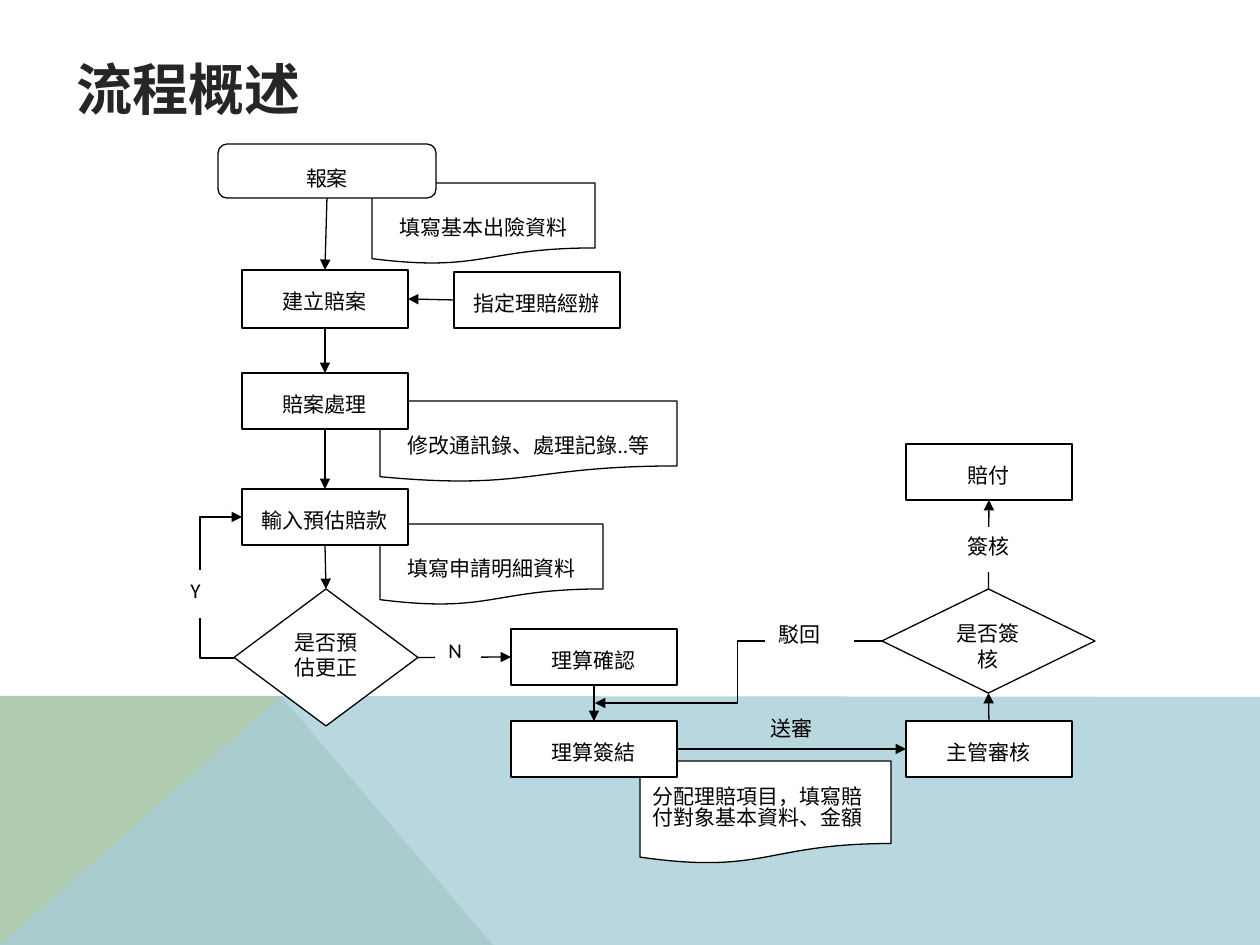
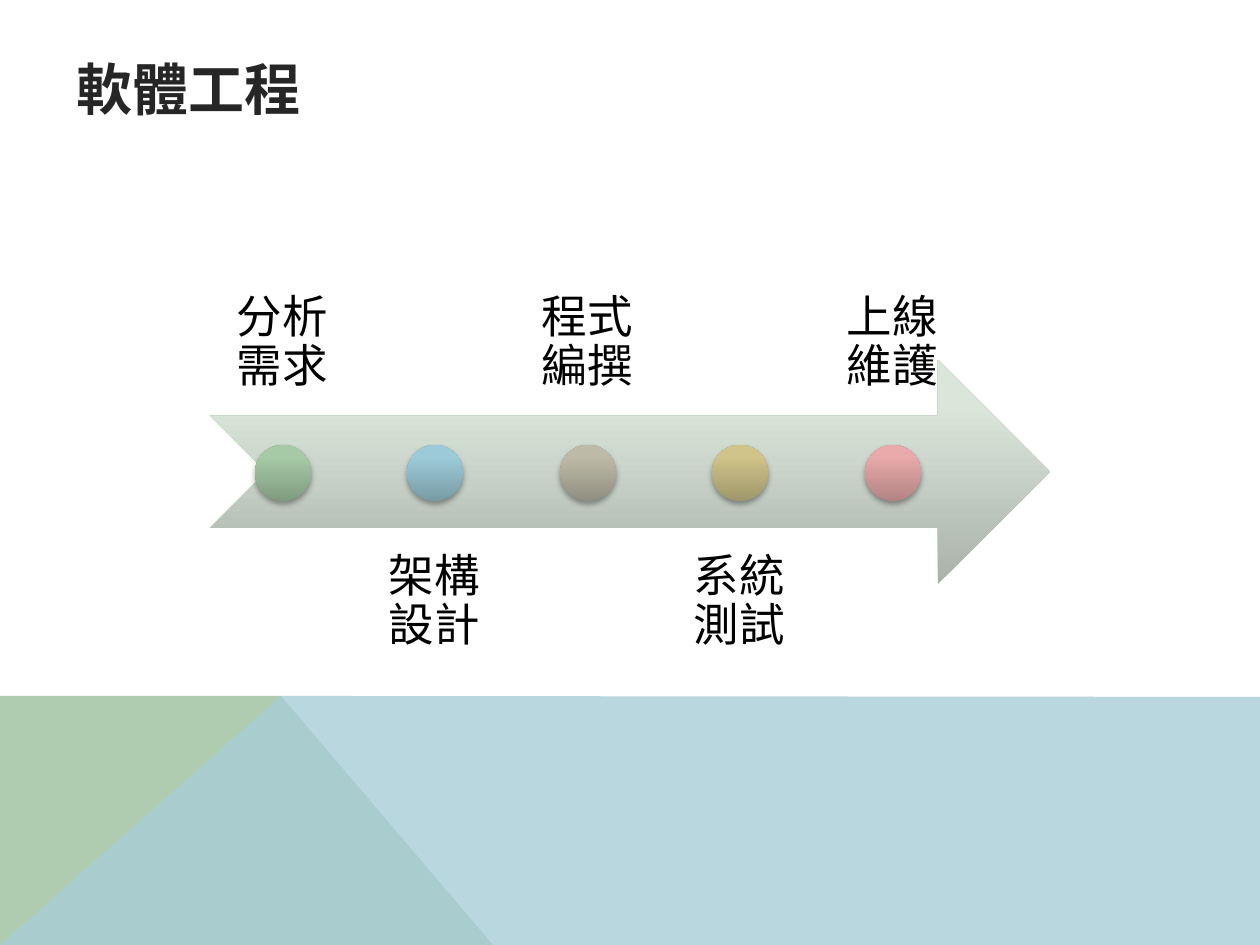
"""Builds a claims flowchart slide and a software engineering timeline slide."""
from copy import deepcopy
from typing import NamedTuple

from lxml import etree
from pptx import Presentation
from pptx import util as u
from pptx.dml.color import RGBColor
from pptx.enum import shapes, text
from pptx.oxml import ns

PX = 914400 / 126
WIDTH, HEIGHT = 1260, 945
BLACK = RGBColor(0, 0, 0)
WHITE = RGBColor(255, 255, 255)
TITLE_GREY = RGBColor(0x26, 0x26, 0x26)
BAND_GREEN = RGBColor(0xB0, 0xCC, 0xB0)
BAND_BLUE = RGBColor(0xA8, 0xCD, 0xD7)
BODY_FONT, HEAD_FONT = "Calibri", "Arial"

KIND = shapes.MSO_SHAPE
DOCUMENT, PROCESS = KIND.FLOWCHART_DOCUMENT, KIND.FLOWCHART_PROCESS
START, DECISION = KIND.FLOWCHART_ALTERNATE_PROCESS, KIND.FLOWCHART_DECISION
LEFT, CENTER = text.PP_ALIGN.LEFT, text.PP_ALIGN.CENTER
TOP_SIDE, LEFT_SIDE, BOTTOM_SIDE, RIGHT_SIDE = range(4)


class Node(NamedTuple):
    words: str
    x: int
    y: int
    w: int
    h: int
    kind: KIND = PROCESS
    spacing: float | u.Length = 1.5
    align: text.PP_ALIGN = CENTER
    border: RGBColor = BLACK
    lead: int = 6


class Link(NamedTuple):
    source: str
    source_side: int
    target: str
    target_side: int


class Loop(NamedTuple):
    begin: tuple[int, int]
    end: tuple[int, int]
    bend_x: int


class Stage(NamedTuple):
    words: str
    dark: str
    light: str
    edge: str


DOCUMENTS = [
    Node("填寫基本出險資料", 372, 183, 223, 81, DOCUMENT, 2.0),
    Node("修改通訊錄、處理記錄..等", 380, 401, 297, 81, DOCUMENT, 2.0),
    Node("填寫申請明細資料", 380, 524, 223, 81, DOCUMENT, 2.0),
    Node("分配理賠項目，填寫賠付對象基本資料、金額", 640, 761, 251, 103,
         DOCUMENT, u.Pt(12), LEFT, lead=27),
]
STEPS = [
    Node("報案", 218, 144, 218, 54, START),
    Node("建立賠案", 242, 270, 166, 58),
    Node("指定理賠經辦", 454, 272, 166, 56),
    Node("賠案處理", 242, 373, 166, 56),
    Node("輸入預估賠款", 242, 489, 166, 56),
    Node("是否預估更正", 234, 589, 184, 137, DECISION, 1.0),
    Node("理算確認", 511, 629, 166, 56),
    Node("理算簽結", 511, 721, 166, 56),
    Node("主管審核", 906, 721, 166, 56),
    Node("是否簽核", 882, 589, 213, 104, DECISION, 1.0),
    Node("賠付", 906, 444, 166, 56),
]
LABELS = [
    Node("Y", 178, 571, 50, 46, KIND.RECTANGLE, 1.0, LEFT, WHITE),
    Node("N", 436, 632, 44, 52, KIND.RECTANGLE, 1.0, LEFT, WHITE),
    Node("駁回", 766, 616, 87, 54, KIND.RECTANGLE, 1.0, LEFT, WHITE),
    Node("簽核", 955, 528, 83, 43, KIND.RECTANGLE, 1.0, LEFT, WHITE),
]
LINKS = [
    Link("報案", BOTTOM_SIDE, "建立賠案", TOP_SIDE),
    Link("指定理賠經辦", LEFT_SIDE, "建立賠案", RIGHT_SIDE),
    Link("建立賠案", BOTTOM_SIDE, "賠案處理", TOP_SIDE),
    Link("賠案處理", BOTTOM_SIDE, "輸入預估賠款", TOP_SIDE),
    Link("輸入預估賠款", BOTTOM_SIDE, "是否預估更正", TOP_SIDE),
    Link("是否預估更正", RIGHT_SIDE, "理算確認", LEFT_SIDE),
    Link("理算確認", BOTTOM_SIDE, "理算簽結", TOP_SIDE),
    Link("理算簽結", RIGHT_SIDE, "主管審核", LEFT_SIDE),
    Link("主管審核", TOP_SIDE, "是否簽核", BOTTOM_SIDE),
    Link("是否簽核", TOP_SIDE, "賠付", BOTTOM_SIDE),
]
LOOPS = [
    Loop((234, 658), (242, 517), 200),
    Loop((882, 641), (595, 703), 738),
]
STAGES = [
    Stage("分析需求", "809B80", "A6CAA6", "A7CBA7"),
    Stage("架構設計", "789CA6", "9CCBD7", "9CCCD9"),
    Stage("程式編撰", "918F81", "BDBAA7", "BEBBA7"),
    Stage("系統測試", "A0976B", "D0C48A", "D2C68A"),
    Stage("上線維護", "B38383", "E8AAAA", "EAAAAA"),
]


def px(*lengths: int) -> list[u.Emu]:
    """Turns px lengths into EMU."""
    return [u.Emu(round(length * PX)) for length in lengths]


def style_runs(frame, font_name: str, size: int, color: RGBColor, bold: bool = False) -> None:
    """Formats every run of a text frame."""
    for paragraph in frame.paragraphs:
        for run in paragraph.runs:
            font = run.font
            font.name, font.size, font.bold = font_name, u.Pt(size), bold
            font.color.rgb = color


def add_band(slide, points: list[tuple[int, int]], color: RGBColor, opacity: int) -> None:
    """Draws one coloured area at the foot of the slide."""
    builder = slide.shapes.build_freeform(*points[0], scale=PX)
    builder.add_line_segments(points[1:], close=True)
    band = builder.convert_to_shape()
    band.shadow.inherit = False
    band.fill.solid()
    band.fill.fore_color.rgb = color
    band.line.fill.background()
    if opacity < 100:
        tint = band.element.spPr.find(f"{ns.qn('a:solidFill')}/{ns.qn('a:srgbClr')}")
        etree.SubElement(tint, ns.qn("a:alpha"), val=str(opacity * 1000))


def add_titled_slide(prs, heading: str):
    """Adds a slide with the shared title style and foot bands."""
    slide = prs.slides.add_slide(prs.slide_layouts[5])
    title = slide.shapes.title
    title.left, title.top, title.width, title.height = px(64, 50, 1142, 76)
    frame = title.text_frame
    frame.text = heading
    frame.auto_size = text.MSO_AUTO_SIZE.NONE
    frame.vertical_anchor = text.MSO_ANCHOR.MIDDLE
    frame.paragraphs[0].alignment = LEFT
    style_runs(frame, HEAD_FONT, 32, TITLE_GREY, True)
    add_band(slide, [(0, HEIGHT), (0, 696), (281, 696), (493, HEIGHT)], BAND_GREEN, 100)
    add_band(slide, [(0, HEIGHT), (281, 696), (WIDTH, 697), (WIDTH, HEIGHT)], BAND_BLUE, 80)
    return slide


def add_node(slide, node: Node):
    """Draws one flowchart shape with its words."""
    box = slide.shapes.add_shape(node.kind, *px(node.x, node.y, node.w, node.h))
    box.shadow.inherit = False
    box.fill.solid()
    box.fill.fore_color.rgb = WHITE
    box.line.color.rgb = node.border
    box.line.width = u.Pt(0.75)
    frame = box.text_frame
    frame.text = node.words
    frame.word_wrap = True
    frame.vertical_anchor = text.MSO_ANCHOR.TOP
    frame.margin_top = px(node.lead)[0]
    frame.paragraphs[0].alignment = node.align
    frame.paragraphs[0].line_spacing = node.spacing
    style_runs(frame, BODY_FONT, 12, BLACK)
    return box


def add_arrow(slide, kind: shapes.MSO_CONNECTOR, begin: tuple[int, int], end: tuple[int, int]):
    """Draws a thin black connector with an arrowhead at its end."""
    arrow = slide.shapes.add_connector(kind, *px(*begin, *end))
    arrow.line.color.rgb = BLACK
    arrow.line.width = u.Pt(0.75)
    etree.SubElement(arrow.line._get_or_add_ln(), ns.qn("a:tailEnd"), type="triangle")
    etree.SubElement(arrow.element.spPr, ns.qn("a:effectLst"))
    return arrow


def add_loop(slide, loop: Loop) -> None:
    """Draws a bent arrow whose middle leg stands at bend_x."""
    arrow = add_arrow(slide, shapes.MSO_CONNECTOR.ELBOW, loop.begin, loop.end)
    share = (loop.bend_x - loop.begin[0]) / (loop.end[0] - loop.begin[0])
    geometry = arrow.element.spPr.find(ns.qn("a:prstGeom"))
    guides = geometry.find(ns.qn("a:avLst"))
    if guides is None:
        guides = etree.SubElement(geometry, ns.qn("a:avLst"))
    etree.SubElement(guides, ns.qn("a:gd"), name="adj1", fmla=f"val {round(share * 100000)}")


def build_flow(prs) -> None:
    """Builds the claims process slide."""
    slide = add_titled_slide(prs, "流程概述")
    for document in DOCUMENTS:
        add_node(slide, document)
    steps = {step.words: add_node(slide, step) for step in STEPS}
    for link in LINKS:
        arrow = add_arrow(slide, shapes.MSO_CONNECTOR.STRAIGHT, (0, 0), (0, 0))
        arrow.begin_connect(steps[link.source], link.source_side)
        arrow.end_connect(steps[link.target], link.target_side)
    for loop in LOOPS:
        add_loop(slide, loop)
    for label in LABELS:
        add_node(slide, label)
    submit = slide.shapes.add_textbox(*px(758, 709, 68, 38)).text_frame
    submit.text = "送審"
    submit.word_wrap = False
    style_runs(submit, BODY_FONT, 12, BLACK)


def add_shaded(slide, kind: KIND, x: int, y: int, w: int, h: int, colors: tuple[str, str, str]):
    """Draws a borderless shape shaded from its dark foot to its light top."""
    shaded = slide.shapes.add_shape(kind, *px(x, y, w, h))
    shaded.shadow.inherit = False
    shaded.line.fill.background()
    shaded.fill.gradient()
    shaded.fill.gradient_angle = 90
    stops = shaded.element.spPr.find(f"{ns.qn('a:gradFill')}/{ns.qn('a:gsLst')}")
    stops.append(deepcopy(stops[-1]))
    for stop, position, color in zip(shaded.fill.gradient_stops, (0, 0.8, 1), colors):
        stop.position = position
        stop.color.rgb = RGBColor.from_string(color)
    return shaded


def add_drop_shadow(shape) -> None:
    """Adds a soft shadow below a shape."""
    effects = shape.element.spPr.find(ns.qn("a:effectLst"))
    shadow = etree.SubElement(effects, ns.qn("a:outerShdw"), blurRad=str(u.Pt(3.1)),
                              dist=str(u.Pt(1.8)), dir="5400000", rotWithShape="0")
    tint = etree.SubElement(shadow, ns.qn("a:srgbClr"), val=str(BLACK))
    etree.SubElement(tint, ns.qn("a:alpha"), val="35000")


def add_stage(slide, index: int, stage: Stage) -> None:
    """Draws one stage: words above or below the arrow, and its dot."""
    x = 210 + index * 305 // 2
    above = index % 2 == 0
    frame = slide.shapes.add_textbox(*px(x, 193 if above else 528, 145, 224)).text_frame
    frame.text = stage.words
    frame.word_wrap = True
    frame.vertical_anchor = text.MSO_ANCHOR.BOTTOM if above else text.MSO_ANCHOR.TOP
    inset = px(25)[0]
    frame.margin_left = frame.margin_right = frame.margin_top = frame.margin_bottom = inset
    frame.paragraphs[0].alignment = CENTER
    frame.paragraphs[0].line_spacing = 0.9
    style_runs(frame, HEAD_FONT, 26, BLACK)
    colors = (stage.dark, stage.light, stage.edge)
    add_drop_shadow(add_shaded(slide, KIND.OVAL, x + 45, 445, 56, 56, colors))


def build_timeline(prs) -> None:
    """Builds the software engineering slide."""
    slide = add_titled_slide(prs, "軟體工程")
    add_shaded(slide, KIND.NOTCHED_RIGHT_ARROW, 210, 360, 840, 224,
               ("A9B1A9", "DBE6DB", "DCE8DC"))
    for index, stage in enumerate(STAGES):
        add_stage(slide, index, stage)


def main() -> None:
    """Builds and saves both slides."""
    prs = Presentation()
    prs.slide_width, prs.slide_height = px(WIDTH, HEIGHT)
    build_flow(prs)
    build_timeline(prs)
    prs.save("out.pptx")


if __name__ == "__main__":
    main()
